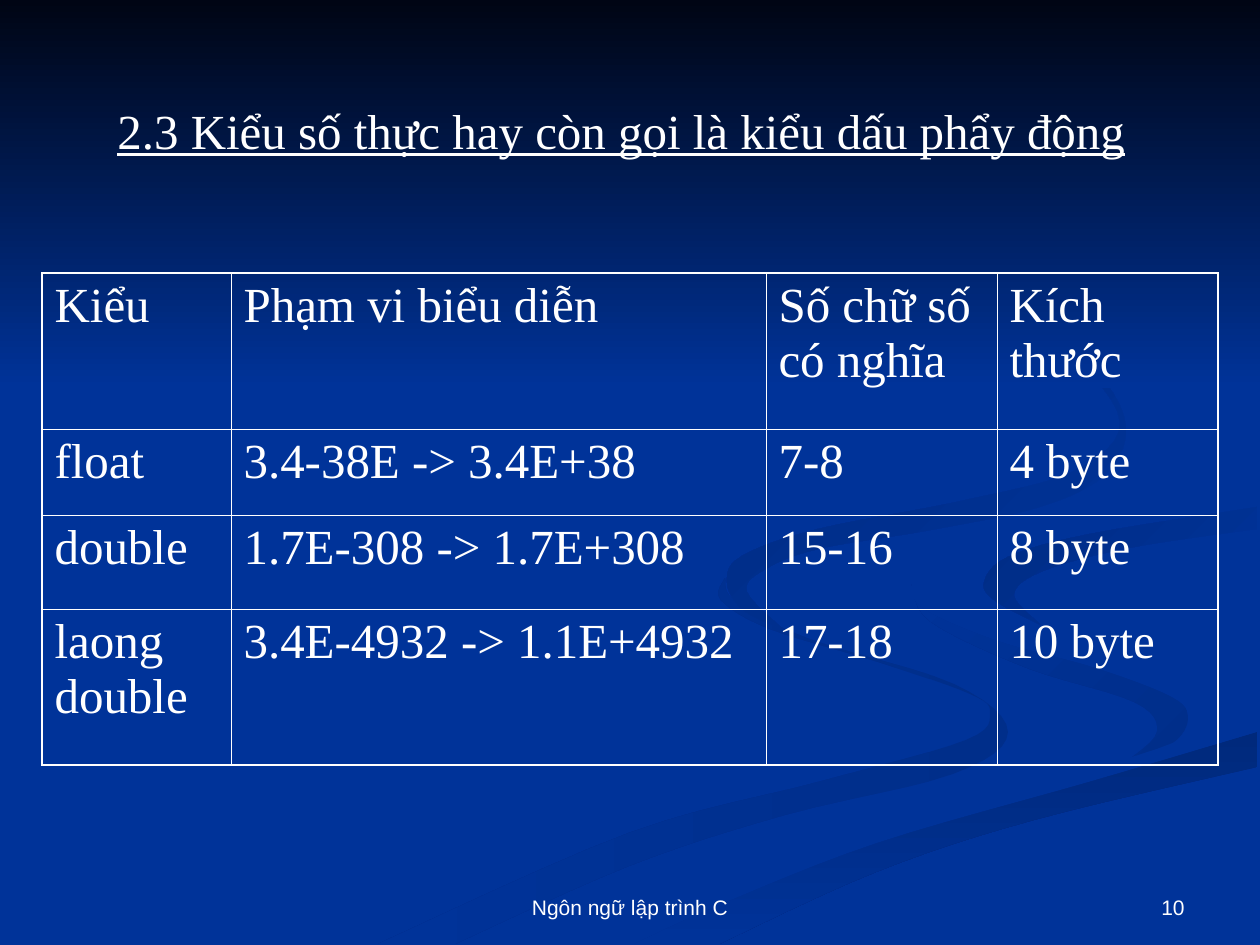
from lxml.etree import SubElement
from pptx import Presentation
from pptx.dml.color import RGBColor
from pptx.enum.shapes import MSO_SHAPE
from pptx.enum.text import MSO_ANCHOR, PP_ALIGN
from pptx.oxml.ns import qn
from pptx.util import Pt

EMU_PER_PX = 914400 / 126
WIDTH, HEIGHT = 1260, 945
BLUE, WHITE = "003399", "FFFFFF"
SERIF, SANS = "Times New Roman", "Arial"

TITLE = "2.3 Kiểu số thực hay còn gọi là kiểu dấu phẩy động"
FOOTER, PAGE_NUMBER = "Ngôn ngữ lập trình C", "10"
ROWS = [
    ("Kiểu", "Phạm vi biểu diễn", "Số chữ số có nghĩa", "Kích thước"),
    ("float", "3.4-38E -> 3.4E+38", "7-8", "4 byte"),
    ("double", "1.7E-308 -> 1.7E+308", "15-16", "8 byte"),
    ("laong double", "3.4E-4932 -> 1.1E+4932", "17-18", "10 byte"),
]
COLUMN_WIDTHS = [189, 535, 231, 221]
ROW_HEIGHTS = [156, 86, 94, 156]
TABLE_TOP = 273
OUTER_BORDER, INNER_BORDER = 1.08, 0.45

# Background swirl: each edge is a smooth curve through a few knots, top to bottom
LEFT_OUTER = [(725, 578), (721, 600), (770, 629), (878, 662), (970, 694),
              (990, 713), (966, 740), (822, 781), (629, 833), (378, 944)]
LEFT_INNER = [(725, 578), (735, 601), (809, 639), (954, 684), (1008, 732),
              (953, 774), (785, 815), (629, 866), (455, 944)]
BEND = [(912, 585), (924, 609), (998, 641), (1096, 668), (1172, 697),
        (1188, 718), (1173, 743)]
BEND_SHADE = [(912, 585), (931, 622), (1027, 668), (1134, 702), (1157, 732),
              (1126, 762)]
WIDE_OUTER = ([(1259, 488), (1101, 514), (970, 538), (920, 566)] + BEND
              + [(1024, 788), (835, 842), (601, 944)])
WIDE_INNER = [(1257, 507), (1090, 534), (1008, 557), (984, 583)]
WIDE_RETURN = [(984, 583), (1029, 620), (1139, 654), (1259, 678)]
TAIL_TOP = [(1257, 732), (1092, 781), (877, 843), (717, 906), (634, 944)]
TAIL_BOTTOM = [(1257, 767), (1034, 820), (876, 872), (719, 944)]
HOOK_OUTER = WIDE_INNER + [(997, 602), (1041, 625)]
HOOK_INNER = [(1257, 529), (1129, 548), (1043, 571), (1014, 595), (1041, 625)]
CREST_OUTER = [(960, 294), (1062, 346), (1109, 387), (1126, 433), (1104, 476),
               (1040, 507), (931, 530), (818, 549), (764, 570), (747, 592), (784, 630)]
CREST_INNER = [(960, 294), (1066, 352), (1120, 422), (1074, 471), (961, 501),
               (818, 529), (742, 556), (727, 582), (743, 610), (784, 630)]

# Edges down one side, edges down the other, colours, clockwise gradient angle
RIBBONS = [
    ([LEFT_OUTER], [LEFT_INNER], ("002E8A", BLUE), 180),
    ([BEND + [(1126, 762)]], [BEND_SHADE], ("002E8A", BLUE), 225),
    ([TAIL_TOP], [TAIL_BOTTOM], ("00297C", BLUE), 90),
    ([WIDE_OUTER], [WIDE_INNER, WIDE_RETURN, TAIL_TOP], (BLUE,), 0),
    ([HOOK_OUTER], [HOOK_INNER], (BLUE, "002C85"), 225),
    ([CREST_OUTER], [CREST_INNER], (BLUE, "002B81"), 225),
]
CURVE_STEPS = 6


def px(length):
    return round(length * EMU_PER_PX)


def color(hex_text):
    return RGBColor.from_string(hex_text)


def smooth(knots):
    """Return points on the Catmull-Rom curve through the knots."""
    padded = [knots[0], *knots, knots[-1]]
    points = [knots[0]]
    for around in zip(padded, padded[1:], padded[2:], padded[3:]):
        for step in range(1, CURVE_STEPS + 1):
            t = step / CURVE_STEPS
            points.append(tuple(
                b + t * (c - a) / 2
                + t ** 2 * (2 * a - 5 * b + 4 * c - d) / 2
                + t ** 3 * (3 * b - a - 3 * c + d) / 2
                for a, b, c, d in zip(*around)))
    return points


def join_edges(edges):
    return [point for edge in edges for point in smooth(edge)]


def paint(shape, colors, angle):
    """Fill with one colour, or a gradient of two at a clockwise angle."""
    shape.shadow.inherit = False
    shape.line.fill.background()
    if len(colors) == 1:
        shape.fill.solid()
        shape.fill.fore_color.rgb = color(colors[0])
        return
    shape.fill.gradient()
    shape.fill.gradient_angle = (360 - angle) % 360
    for stop, hex_text in zip(shape.fill.gradient_stops, colors):
        stop.color.rgb = color(hex_text)


def add_ribbon(page, one_side, other_side, colors, angle):
    outline = join_edges(one_side) + join_edges(other_side)[::-1]
    corners = [(px(x), px(y)) for x, y in outline]
    builder = page.shapes.build_freeform(*corners[0])
    builder.add_line_segments(corners[1:], close=True)
    paint(builder.convert_to_shape(), colors, angle)


def write(frame, text, font_name, size):
    frame.word_wrap = True
    frame.text = text
    paragraph = frame.paragraphs[0]
    font = paragraph.runs[0].font
    font.name, font.size, font.color.rgb = font_name, Pt(size), color(WHITE)
    return paragraph


def add_text(page, place, text, font_name, size, align, anchor):
    box = page.shapes.add_textbox(*map(px, place))
    box.text_frame.vertical_anchor = anchor
    paragraph = write(box.text_frame, text, font_name, size)
    paragraph.alignment = align
    return paragraph


def set_border(cell, side, points):
    line = SubElement(cell._tc.get_or_add_tcPr(), qn("a:ln" + side), w=str(Pt(points)))
    fill = SubElement(line, qn("a:solidFill"))
    SubElement(fill, qn("a:srgbClr"), val=WHITE)


def add_type_table(page):
    width, height = sum(COLUMN_WIDTHS), sum(ROW_HEIGHTS)
    left = (WIDTH - width) / 2
    table = page.shapes.add_table(
        len(ROWS), len(COLUMN_WIDTHS),
        px(left), px(TABLE_TOP), px(width), px(height)).table
    table.first_row = table.horz_banding = False
    for column, column_width in zip(table.columns, COLUMN_WIDTHS):
        column.width = px(column_width)
    for row, row_height in zip(table.rows, ROW_HEIGHTS):
        row.height = px(row_height)
    for r, texts in enumerate(ROWS):
        for c, text in enumerate(texts):
            cell = table.cell(r, c)
            write(cell.text_frame, text, SERIF, 28)
            on_outside = {"L": c == 0, "R": c == len(texts) - 1,
                          "T": r == 0, "B": r == len(ROWS) - 1}
            for side, outside in on_outside.items():
                set_border(cell, side, OUTER_BORDER if outside else INNER_BORDER)
            cell.fill.background()


def add_background(page):
    page.background.fill.solid()
    page.background.fill.fore_color.rgb = color(BLUE)
    for ribbon in RIBBONS:
        add_ribbon(page, *ribbon)
    band = page.shapes.add_shape(MSO_SHAPE.RECTANGLE, 0, 0, px(WIDTH), px(388))
    paint(band, ("000514", BLUE), 90)


def main():
    deck = Presentation()
    deck.slide_width, deck.slide_height = px(WIDTH), px(HEIGHT)
    page = deck.slides.add_slide(deck.slide_layouts[6])
    add_background(page)
    title = add_text(page, (105, 94, 1040, 147), TITLE, SERIF, 28,
                     PP_ALIGN.LEFT, MSO_ANCHOR.TOP)
    title.runs[0].font.underline = True
    add_type_table(page)
    add_text(page, (430, 861, 400, 65), FOOTER, SANS, 12,
             PP_ALIGN.CENTER, MSO_ANCHOR.BOTTOM)
    add_text(page, (903, 861, 294, 65), PAGE_NUMBER, SANS, 12,
             PP_ALIGN.RIGHT, MSO_ANCHOR.BOTTOM)
    deck.save("out.pptx")


if __name__ == "__main__":
    main()
